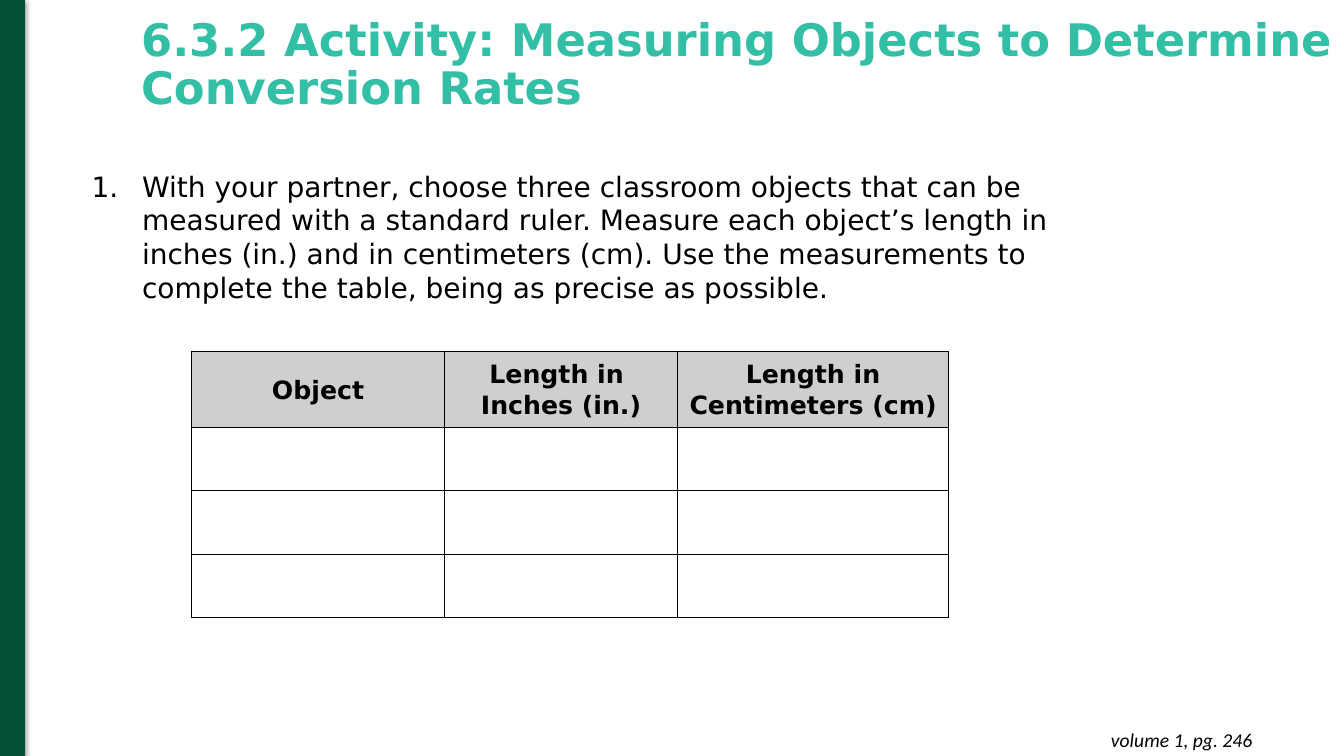
from dataclasses import dataclass

from lxml import etree
from pptx import Presentation
from pptx.dml.color import RGBColor
from pptx.enum.shapes import MSO_SHAPE
from pptx.enum.text import MSO_ANCHOR, MSO_AUTO_SIZE, PP_ALIGN
from pptx.oxml.ns import qn
from pptx.util import Emu, Inches, Pt

RECT = MSO_SHAPE.RECTANGLE
MIDDLE = MSO_ANCHOR.MIDDLE
NO_FIT, GROW = MSO_AUTO_SIZE.NONE, MSO_AUTO_SIZE.SHAPE_TO_FIT_TEXT
LEFT, CENTER, RIGHT = PP_ALIGN.LEFT, PP_ALIGN.CENTER, PP_ALIGN.RIGHT

SLIDE_W, SLIDE_H = Inches(13.33), Inches(7.5)
SANS, FOOTER_FONT = "DejaVu Sans", "Calibri"
GREEN, TEAL, GRAY, BLACK = "035036", "33BEA6", "D0CECE", "000000"


@dataclass(frozen=True)
class Box:
    """A place on the slide, in percent of its width and height."""
    left: float
    top: float
    width: float
    height: float

    def emu(self) -> tuple[Emu, Emu, Emu, Emu]:
        return (across(self.left), down(self.top),
                across(self.width), down(self.height))


@dataclass(frozen=True)
class Column:
    heading: str
    width: float


BAR = Box(0, -0.13, 1.8, 100.13)
TITLE = Box(9.75, -0.93, 94.67, 19.33)
TASK = Box(6.08, 21.73, 77.27, 19.33)
PAGE_REF = Box(60.02, 94.93, 33.91, 5.87)
TABLE_LEFT, TABLE_TOP = 14.25, 46.53
COLUMNS = [
    Column("Object", 18.83),
    Column("Length in \nInches (in.)", 17.33),
    Column("Length in Centimeters (cm)", 20.18),
]
ROW_HEIGHTS = [10, 8.4, 8.4, 8.4]


def across(percent: float) -> Emu:
    return Emu(round(SLIDE_W * percent / 100))


def down(percent: float) -> Emu:
    return Emu(round(SLIDE_H * percent / 100))


def color(value: str) -> RGBColor:
    return RGBColor.from_string(value)


def add_xml(parent, tag: str, **attributes):
    return etree.SubElement(parent, qn(tag), attributes)


def write(tf, text: str, *, size: float, font: str = SANS, rgb: str = BLACK,
          bold: bool = False, italic: bool = False, align=LEFT,
          spacing: float = 1.0):
    p = tf.paragraphs[0]
    p.text = text
    p.alignment, p.line_spacing = align, spacing
    for r in p.runs:
        r.font.size, r.font.name = Pt(size), font
        r.font.bold, r.font.italic = bold, italic
        r.font.color.rgb = color(rgb)
    return p


def set_frame(tf, *, fit, side: float = 0.1, end: float = 0.05) -> None:
    tf.word_wrap, tf.auto_size = True, fit
    tf.margin_left = tf.margin_right = Inches(side)
    tf.margin_top = tf.margin_bottom = Inches(end)


def number_paragraph(p, indent: float) -> None:
    pPr = p._p.get_or_add_pPr()
    pPr.set("marL", str(Inches(indent)))
    pPr.set("indent", str(-Inches(indent)))
    add_xml(add_xml(pPr, "a:buClr"), "a:srgbClr", val=BLACK)
    add_xml(pPr, "a:buFont", typeface=SANS)
    add_xml(pPr, "a:buAutoNum", type="arabicPeriod")


def add_bar(s) -> None:
    sp = s.shapes.add_shape(RECT, *BAR.emu())
    sp.fill.solid()
    sp.fill.fore_color.rgb = color(GREEN)
    sp.line.color.rgb = color(GREEN)
    sp.line.width = Pt(0.75)
    sp.shadow.inherit = False
    effects = sp._element.spPr.find(qn("a:effectLst"))
    shadow = add_xml(effects, "a:outerShdw", blurRad=str(Pt(4.5)),
                     dist=str(Pt(1.5)), dir="5400000", rotWithShape="0")
    add_xml(add_xml(shadow, "a:srgbClr", val=BLACK), "a:alpha", val="50000")


def add_borders(cell) -> None:
    tcPr = cell._tc.get_or_add_tcPr()
    for side in ("a:lnL", "a:lnR", "a:lnT", "a:lnB"):
        ln = add_xml(tcPr, side, w=str(Pt(1)))
        add_xml(add_xml(ln, "a:solidFill"), "a:srgbClr", val=BLACK)


def add_measurement_table(s) -> None:
    place = Box(TABLE_LEFT, TABLE_TOP, sum(c.width for c in COLUMNS),
                sum(ROW_HEIGHTS))
    table = s.shapes.add_table(len(ROW_HEIGHTS), len(COLUMNS),
                               *place.emu()).table
    table.first_row = table.horz_banding = False
    for row, height in zip(table.rows, ROW_HEIGHTS):
        row.height = down(height)
    for i, column in enumerate(COLUMNS):
        table.columns[i].width = across(column.width)
        for j in range(len(ROW_HEIGHTS)):
            cell = table.cell(j, i)
            cell.vertical_anchor = MIDDLE
            cell.margin_left = cell.margin_right = Inches(0.07)
            cell.margin_top = cell.margin_bottom = 0
            add_borders(cell)
            if j == 0:
                cell.fill.solid()
                cell.fill.fore_color.rgb = color(GRAY)
                write(cell.text_frame, column.heading, size=18, bold=True,
                      align=CENTER, spacing=1.07)
            else:
                cell.fill.background()


def main() -> None:
    prs = Presentation()
    prs.slide_width, prs.slide_height = SLIDE_W, SLIDE_H
    s = prs.slides.add_slide(prs.slide_layouts.get_by_name("Title Only"))

    # Side bar
    add_bar(s)

    # Title
    title = s.shapes.title
    title.left, title.top, title.width, title.height = TITLE.emu()
    set_frame(title.text_frame, fit=NO_FIT)
    title.text_frame.vertical_anchor = MIDDLE
    write(title.text_frame,
          "6.3.2 Activity: Measuring Objects to Determine Conversion Rates",
          size=32, rgb=TEAL, bold=True, spacing=0.9)

    # Numbered task
    tf = s.shapes.add_textbox(*TASK.emu()).text_frame
    set_frame(tf, fit=GROW)
    p = write(tf, "With your partner, choose three classroom objects that can "
              "be measured with a standard ruler. Measure each object’s length "
              "in inches (in.) and in centimeters (cm). Use the measurements "
              "to complete the table, being as precise as possible.", size=20)
    number_paragraph(p, 0.5)

    # Table to fill in
    add_measurement_table(s)

    # Page reference
    tf = s.shapes.add_textbox(*PAGE_REF.emu()).text_frame
    set_frame(tf, fit=GROW, end=0.1)
    write(tf, "volume 1, pg. 246", size=14, font=FOOTER_FONT, italic=True,
          align=RIGHT)

    prs.save("out.pptx")


if __name__ == "__main__":
    main()
